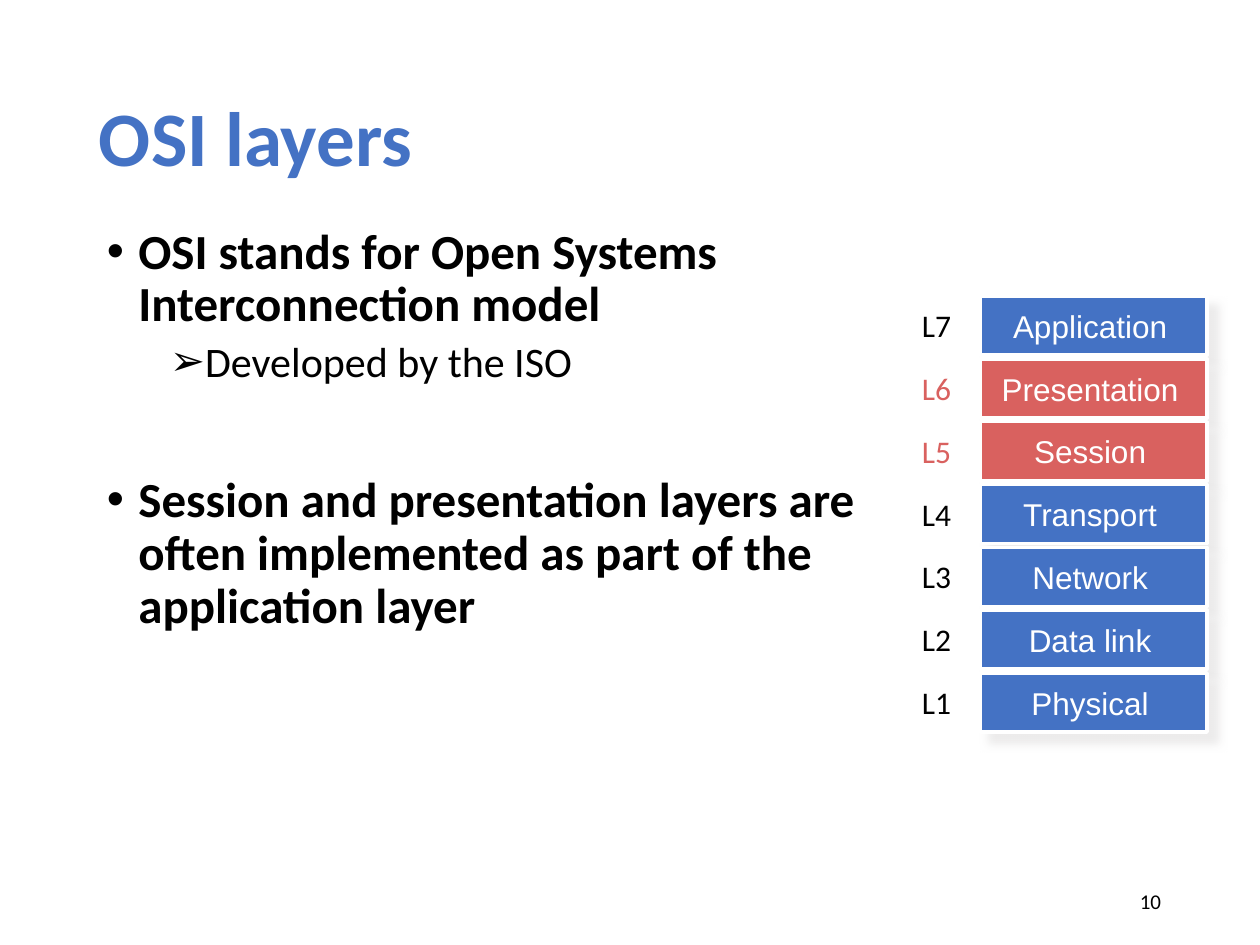
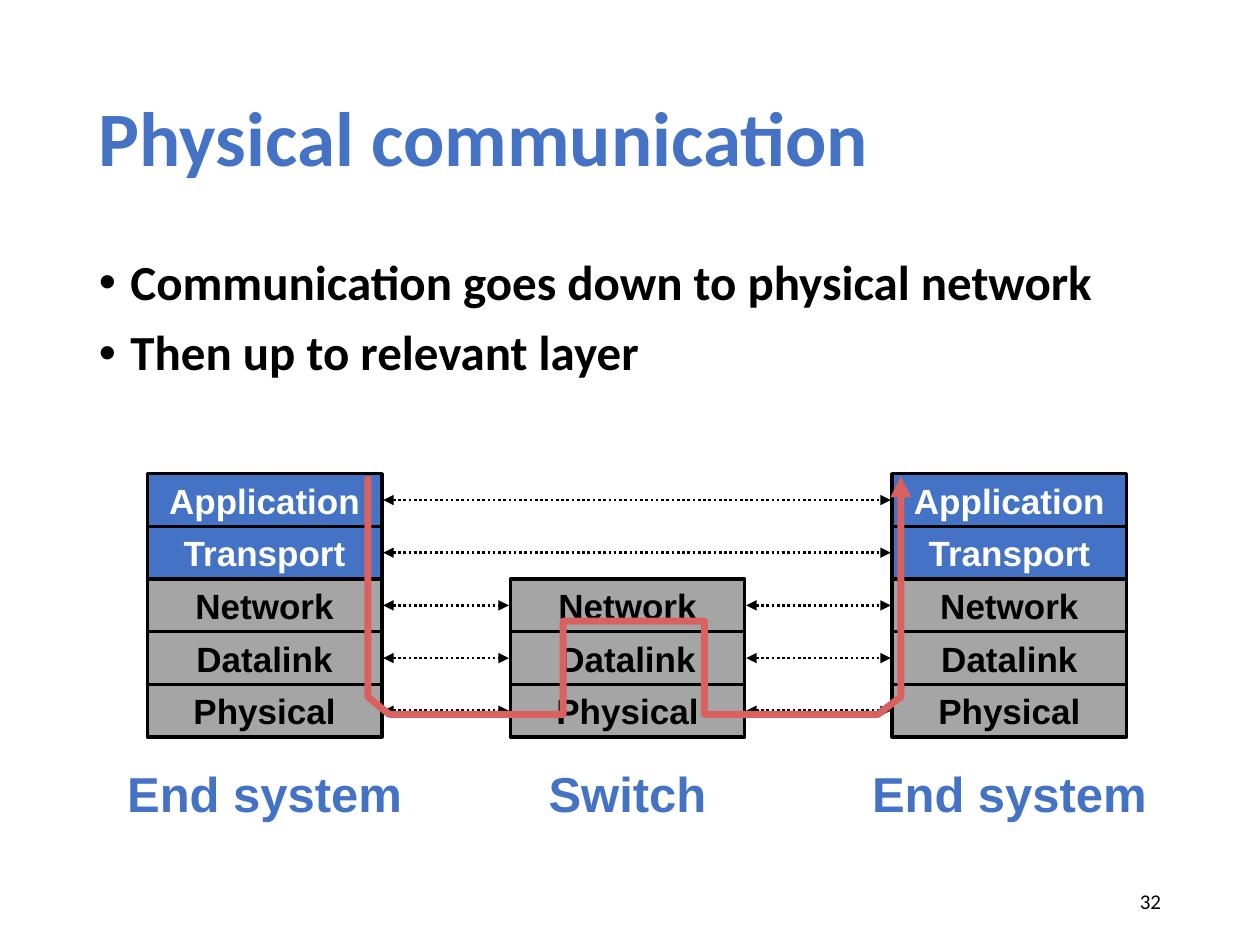
from itertools import pairwise

from pptx import Presentation
from pptx.dml.color import RGBColor
from pptx.enum.dml import MSO_LINE
from pptx.enum.shapes import MSO_CONNECTOR, MSO_SHAPE
from pptx.enum.text import MSO_ANCHOR as Anchor, PP_ALIGN as Align
from pptx.oxml.ns import qn
from pptx.util import Pt
from lxml.etree import SubElement

BLUE, RED, GREY = "4472C4", "D9615F", "A5A5A5"
BLACK, WHITE, SHADOW = "000000", "FFFFFF", "E7E6E6"
HEADING_FONT, DIAGRAM_FONT = "Calibri", "Arial"

# Bullets: (level, text, space before)
OSI_BULLETS = [
    (0, "OSI stands for Open Systems Interconnection model", 0),
    (1, "Developed by the ISO", 5),
    (0, "Session and presentation layers are often implemented "
        "as part of the application layer", 50.8),
]
OSI_LAYERS = ["Application", "Presentation", "Session", "Transport",
              "Network", "Data link", "Physical"]
MERGED_LAYERS = {"Presentation", "Session"}

PHYSICAL_BULLETS = [
    (0, "Communication goes down to physical network", 0),
    (0, "Then up to relevant layer", 10),
]
STACK_ROWS = ["Application", "Transport", "Network", "Datalink", "Physical"]
HOST_ONLY_ROWS = 2
# Stacks: (caption, left, first row)
STACKS = [
    ("End system", 84.2, 0),
    ("Switch", 291.6, HOST_ONLY_ROWS),
    ("End system", 509.8, 0),
]
STACK_TOP, STACK_WIDTH, ROW_HEIGHT = 270.7, 134, 30.1
ROUTE = [(210.2, 272.2), (210.2, 398.2), (222.5, 408.2), (321.8, 408.2),
         (321.8, 355), (402.5, 355), (402.5, 408.2), (501.8, 408.2),
         (514.8, 398.2), (514.8, 272.2)]

# Bullet styles by level: (sign, left margin, size, bold)
BULLET_STYLES = [("•", 18, 28, True), ("➢", 54, 24, False)]
HANGING = 18


def color(code):
    return RGBColor.from_string(code)


def add_span(para, text, size, code, font=HEADING_FONT, bold=False):
    span = para.add_run()
    span.text = text
    span.font.name = font
    span.font.size = Pt(size)
    span.font.bold = bold
    span.font.color.rgb = color(code)


def add_text(page, place, text, size, code, font=HEADING_FONT, bold=False,
             align=Align.LEFT, anchor=Anchor.TOP, wrap=True):
    box = page.shapes.add_textbox(*map(Pt, place))
    frame = box.text_frame
    frame.word_wrap = wrap
    frame.vertical_anchor = anchor
    para = frame.paragraphs[0]
    para.alignment = align
    add_span(para, text, size, code, font, bold)
    return para


def add_bullets(page, place, bullets):
    frame = page.shapes.add_textbox(*map(Pt, place)).text_frame
    frame.word_wrap = True
    for index, (level, text, before) in enumerate(bullets):
        sign, margin, size, bold = BULLET_STYLES[level]
        para = frame.add_paragraph() if index else frame.paragraphs[0]
        para.level = level
        para.line_spacing = 0.9
        para.space_before = Pt(before)
        props = para._p.get_or_add_pPr()
        props.set("marL", str(Pt(margin)))
        props.set("indent", str(-Pt(HANGING)))
        SubElement(props, qn("a:buFont"), typeface=DIAGRAM_FONT)
        SubElement(props, qn("a:buChar"), char=sign)
        add_span(para, text, size, BLACK, bold=bold)


def add_page(deck, title, number):
    """Add a blank page with the shared title and page number."""
    page = deck.slides.add_slide(deck.slide_layouts[6])
    para = add_text(page, (49.5, 28.8, 621, 104.4), title, 44, BLUE,
                    bold=True, anchor=Anchor.MIDDLE)
    para.line_spacing = 0.9
    add_text(page, (508.5, 500.4, 162, 28.8), str(number), 12, BLACK,
             align=Align.RIGHT, anchor=Anchor.MIDDLE)
    return page


def add_cell(page, place, text, fill, line, size, code, bold=False):
    cell = page.shapes.add_shape(MSO_SHAPE.RECTANGLE, *map(Pt, place))
    cell.shadow.inherit = False
    cell.fill.solid()
    cell.fill.fore_color.rgb = color(fill)
    cell.line.color.rgb = color(line)
    cell.line.width = Pt(2)
    frame = cell.text_frame
    frame.word_wrap = False
    frame.vertical_anchor = Anchor.MIDDLE
    para = frame.paragraphs[0]
    para.alignment = Align.CENTER
    add_span(para, text, size, code, DIAGRAM_FONT, bold)
    return cell


def cast_shadow(cell):
    effects = cell._element.spPr.find(qn("a:effectLst"))
    shadow = SubElement(effects, qn("a:outerShdw"), blurRad=str(Pt(5)),
                        dist=str(Pt(8)), dir="2700000", algn="ctr",
                        rotWithShape="0")
    tint = SubElement(shadow, qn("a:srgbClr"), val=SHADOW)
    SubElement(tint, qn("a:alpha"), val="75000")


def add_arrowheads(shape, *ends):
    for end in ends:
        SubElement(shape.line._get_or_add_ln(), qn("a:" + end),
                   type="triangle")


def add_link(page, start, end, height):
    """Draw a dotted two-way arrow between two stacks."""
    link = page.shapes.add_connector(
        MSO_CONNECTOR.STRAIGHT, Pt(start), Pt(height), Pt(end), Pt(height))
    link.line.color.rgb = color(BLACK)
    link.line.width = Pt(1.5)
    link.line.dash_style = MSO_LINE.ROUND_DOT
    add_arrowheads(link, "headEnd", "tailEnd")
    SubElement(link._element.spPr, qn("a:effectLst"))


def add_route(page):
    points = [(Pt(x), Pt(y)) for x, y in ROUTE]
    builder = page.shapes.build_freeform(*points[0])
    builder.add_line_segments(points[1:], close=False)
    route = builder.convert_to_shape()
    route.shadow.inherit = False
    route.fill.background()
    route.line.color.rgb = color(RED)
    route.line.width = Pt(4)
    add_arrowheads(route, "tailEnd")


def build_osi_page(deck):
    page = add_page(deck, "OSI layers", 10)
    add_bullets(page, (54, 126, 445.7, 347.8), OSI_BULLETS)
    for index, layer in enumerate(OSI_LAYERS):
        top = 169.2 + index * 35.9
        merged = layer in MERGED_LAYERS
        cell = add_cell(page, (560.2, top, 129.6, 33.8), layer,
                        RED if merged else BLUE, WHITE, 18, WHITE)
        cell.text_frame.margin_left = Pt(2.9)
        cast_shadow(cell)
        add_text(page, (519.8, top + 2.2, 31.7, 28.8),
                 f"L{len(OSI_LAYERS) - index}", 18,
                 RED if merged else BLACK, wrap=False)


def build_physical_page(deck):
    page = add_page(deck, "Physical communication", 32)
    add_bullets(page, (49.5, 144, 621, 342.7), PHYSICAL_BULLETS)
    for caption, left, first in STACKS:
        for row in range(first, len(STACK_ROWS)):
            host_only = row < HOST_ONLY_ROWS
            place = (left, STACK_TOP + row * ROW_HEIGHT,
                     STACK_WIDTH, ROW_HEIGHT)
            add_cell(page, place, STACK_ROWS[row],
                     BLUE if host_only else GREY, BLACK, 20,
                     WHITE if host_only else BLACK, bold=True)
        add_text(page, (left - 20, 432.7, STACK_WIDTH + 40, 41), caption, 28,
                 BLUE, DIAGRAM_FONT, True, Align.CENTER, wrap=False)
    for row in range(len(STACK_ROWS)):
        lefts = [left for _, left, first in STACKS if row >= first]
        for near, far in pairwise(lefts):
            add_link(page, near + STACK_WIDTH + 0.8, far - 0.8,
                     STACK_TOP + (row + 0.5) * ROW_HEIGHT)
    add_route(page)


def main():
    deck = Presentation()
    deck.slide_width, deck.slide_height = Pt(720), Pt(540)
    build_osi_page(deck)
    build_physical_page(deck)
    deck.save("out.pptx")


if __name__ == "__main__":
    main()
